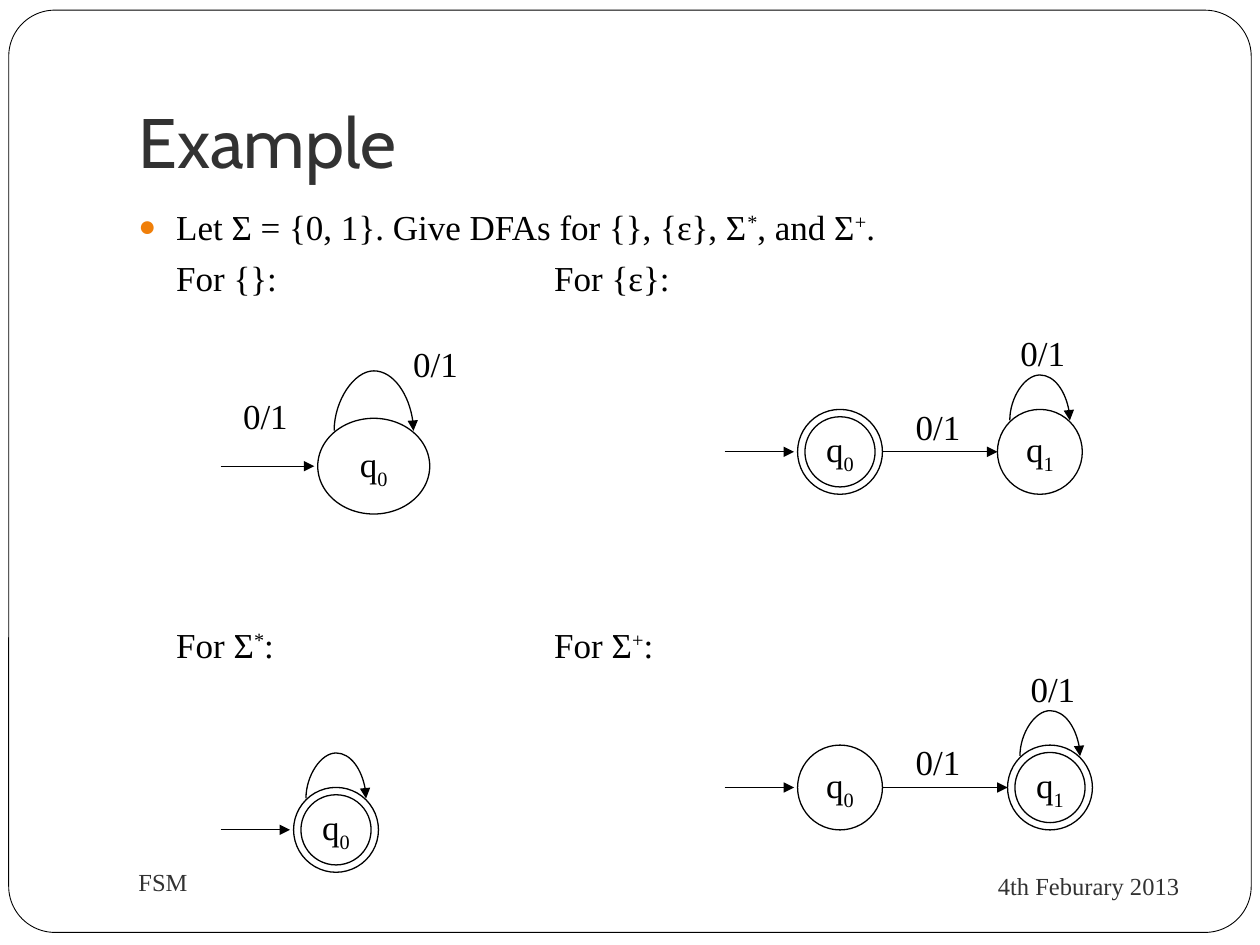
"""Build a slide that shows four small finite state machines."""
from lxml import etree
from pptx import Presentation
from pptx import util as u
from pptx.dml.color import RGBColor
from pptx.enum import shapes, text
from pptx.oxml import ns

THEME = {
    "ink": "000000", "soft": "323232", "accent": "F07F09",
    "heading": "Cabin", "body": "Times New Roman",
    "title": 40, "text": 20, "small": 14, "line": 0.75, "frame": 0.5,
}
RAISED, LOWERED = 30, -25
TITLE = "Example"
FRAME = (5, 5.8, 710, 527)
TASK = [("Let Σ = {0, 1}. Give DFAs for {}, {ε}, Σ", 0), ("*", RAISED),
        (", and Σ", 0), ("+", RAISED), (".", 0)]
CAPTIONS = [
    (93.6, 143.3, [("For {}:", 0)]),
    (309.6, 143.3, [("For {ε}:", 0)]),
    (93.6, 352.6, [("For Σ", 0), ("*", RAISED), (":", 0)]),
    (309.6, 352.6, [("For Σ", 0), ("+", RAISED), (":", 0)]),
]
FOOTERS = [
    ("FSM", (72, 486, 312, 36), text.PP_ALIGN.LEFT),
    ("4th Feburary 2013", (486, 487.4, 195, 37.4), text.PP_ALIGN.RIGHT),
]
CIRCLE = (48.5, 48.5)
OVAL = (64, 54.7)
RING_GAP = 4.2
ENTRY_GAP = 2
MACHINES = [
    {"entry": 126, "y": 266.4, "size": OVAL,
     "states": [{"x": 213.6, "loop": True}],
     "labels": [(131.8, 221.8), (229, 192.2)]},
    {"entry": 414, "y": 258.2, "size": CIRCLE,
     "states": [{"x": 480, "final": True}, {"x": 594.2, "loop": True}],
     "labels": [(516.2, 228.2), (576, 185.8)]},
    {"entry": 126, "y": 474.2, "size": CIRCLE,
     "states": [{"x": 192, "final": True, "loop": True}], "labels": []},
    {"entry": 414, "y": 450, "size": CIRCLE,
     "states": [{"x": 480}, {"x": 600, "final": True, "loop": True}],
     "labels": [(516.2, 419.8), (581.8, 378)]},
]


def points(*values):
    return [u.Pt(value) for value in values]


def color(name):
    return RGBColor.from_string(THEME[name])


def write(para, spans, size="text", ink="ink", face="body"):
    for words, shift in spans:
        span = para.add_run()
        span.text = words
        span.font.size = u.Pt(THEME[size])
        span.font.name = THEME[face]
        span.font.color.rgb = color(ink)
        if shift:
            span._r.get_or_add_rPr().set("baseline", str(shift * 1000))


def add_text(page, place, spans, wrap=True, anchor=text.MSO_ANCHOR.TOP,
             align=text.PP_ALIGN.LEFT, **style):
    box = page.shapes.add_textbox(*points(*place))
    box.text_frame.word_wrap = wrap
    box.text_frame.vertical_anchor = anchor
    para = box.text_frame.paragraphs[0]
    para.alignment = align
    write(para, spans, **style)
    return para


def add_bullet(para):
    properties = para._p.get_or_add_pPr()
    properties.set("marL", str(u.Pt(21.6)))
    properties.set("indent", str(u.Pt(-21.6)))
    tint = etree.SubElement(properties, ns.qn("a:buClr"))
    etree.SubElement(tint, ns.qn("a:srgbClr"), val=THEME["accent"])
    etree.SubElement(properties, ns.qn("a:buSzPct"), val="85000")
    etree.SubElement(properties, ns.qn("a:buFont"), typeface=THEME["body"])
    etree.SubElement(properties, ns.qn("a:buChar"), char="●")


def add_outline(page, kind, place, width="line"):
    shape = page.shapes.add_shape(kind, *points(*place))
    shape.shadow.inherit = False
    shape.fill.background()
    shape.line.color.rgb = color("ink")
    shape.line.width = u.Pt(THEME[width])
    return shape


def add_arrow(page, kind, *ends):
    arrow = page.shapes.add_connector(kind, *points(*ends))
    arrow.line.color.rgb = color("ink")
    arrow.line.width = u.Pt(THEME["line"])
    etree.SubElement(arrow.line._get_or_add_ln(), ns.qn("a:tailEnd"), type="triangle")
    etree.SubElement(arrow.element.spPr, ns.qn("a:effectLst"))
    return arrow


def add_loop(page, x, y, size):
    half, thin = size[0] * 0.354, 0.1
    base, rise = y - size[1] * 0.37, half * 1.33
    arc = add_arrow(page, shapes.MSO_CONNECTOR.CURVE,
                    x - thin / 2, base + half, x + thin / 2, base - half)
    properties = arc.element.spPr
    properties.find(ns.qn("a:xfrm")).set("rot", "5400000")
    geometry = properties.find(ns.qn("a:prstGeom"))
    geometry.set("prst", "curvedConnector3")
    guides = geometry.find(ns.qn("a:avLst"))
    if guides is None:
        guides = etree.SubElement(geometry, ns.qn("a:avLst"))
    bend = round(-rise / thin * 100000)
    etree.SubElement(guides, ns.qn("a:gd"), name="adj1", fmla=f"val {bend}")


def add_circle(page, x, y, width, height):
    place = (x - width / 2, y - height / 2, width, height)
    return add_outline(page, shapes.MSO_SHAPE.OVAL, place)


def add_state(page, x, y, size, index, final=False, loop=False):
    width, height = size
    circle = add_circle(page, x, y, width, height)
    if final:
        circle = add_circle(page, x, y, width - 2 * RING_GAP, height - 2 * RING_GAP)
    frame = circle.text_frame
    frame.word_wrap = False
    frame.vertical_anchor = text.MSO_ANCHOR.MIDDLE
    frame.paragraphs[0].alignment = text.PP_ALIGN.CENTER
    write(frame.paragraphs[0], [("q", 0), (str(index), LOWERED)])
    if loop:
        add_loop(page, x, y, size)


def add_machine(page, entry, y, size, states, labels):
    start, gap = entry, ENTRY_GAP
    for index, state in enumerate(states):
        add_state(page, y=y, size=size, index=index, **state)
        reach = state["x"] - size[0] / 2 - gap
        add_arrow(page, shapes.MSO_CONNECTOR.STRAIGHT, start, y, reach, y)
        start, gap = state["x"] + size[0] / 2, 0
    for left, top in labels:
        add_text(page, (left, top, 40.3, 31), [("0/1", 0)], wrap=False)


def add_title(page):
    title = page.shapes.title
    title.left, title.top, title.width, title.height = points(72, 21.6, 612, 90)
    frame = title.text_frame
    frame.word_wrap = True
    frame.auto_size = text.MSO_AUTO_SIZE.NONE
    frame.vertical_anchor = text.MSO_ANCHOR.BOTTOM
    frame.margin_bottom = u.Pt(7.2)
    frame.paragraphs[0].alignment = text.PP_ALIGN.LEFT
    write(frame.paragraphs[0], [(TITLE, 0)], "title", "soft", "heading")


def main():
    deck = Presentation()
    deck.slide_width, deck.slide_height = points(720, 540)
    page = deck.slides.add_slide(deck.slide_layouts[5])
    border = add_outline(page, shapes.MSO_SHAPE.ROUNDED_RECTANGLE, FRAME, "frame")
    border.adjustments[0] = 0.05
    add_title(page)
    add_bullet(add_text(page, (72, 113.8, 612, 31), TASK))
    for left, top, spans in CAPTIONS:
        add_text(page, (left, top, 200, 31), spans)
    for words, place, align in FOOTERS:
        add_text(page, place, [(words, 0)], anchor=text.MSO_ANCHOR.MIDDLE,
                 align=align, size="small", ink="soft")
    for machine in MACHINES:
        add_machine(page, **machine)
    deck.save("out.pptx")


if __name__ == "__main__":
    main()
